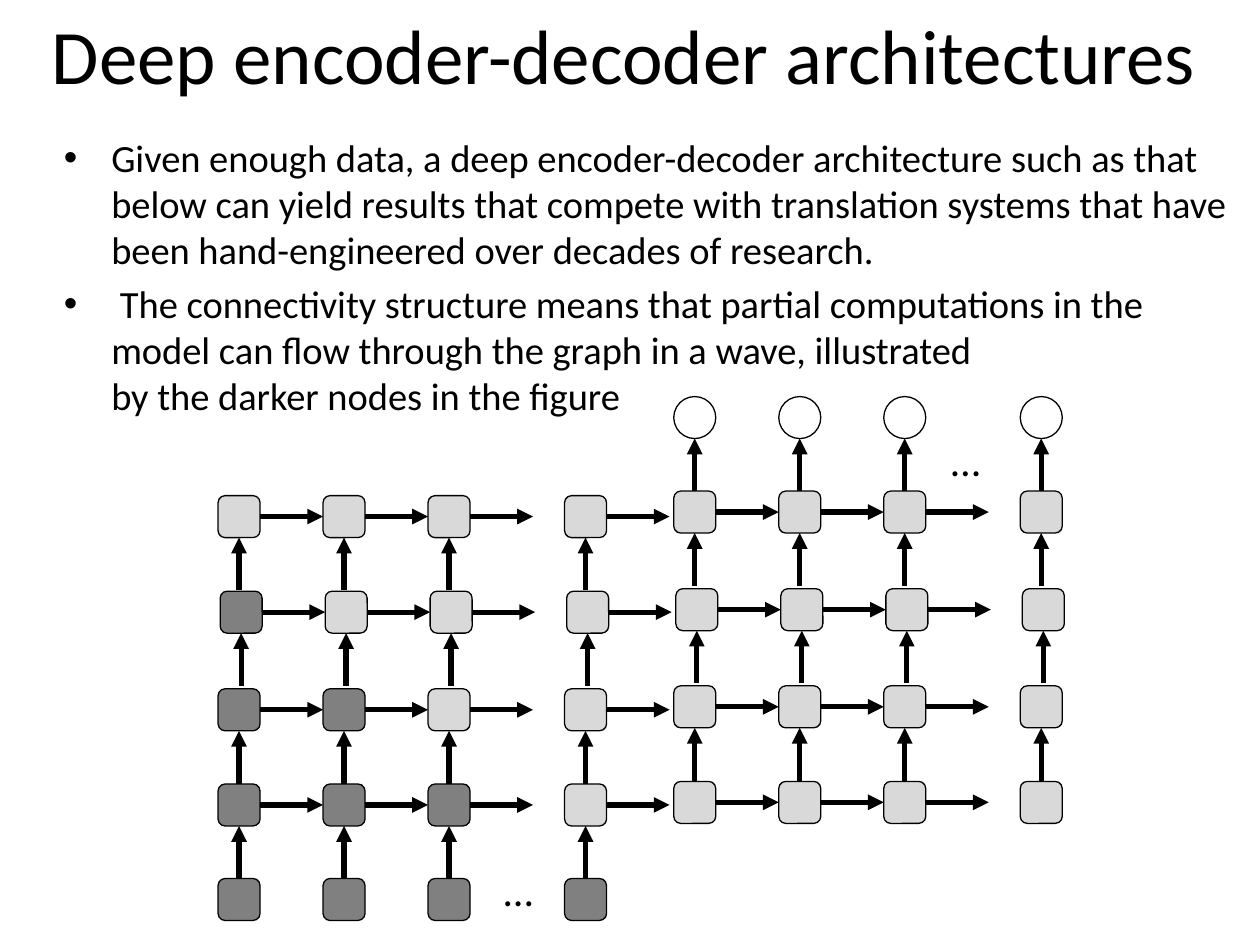
from lxml import etree
from pptx import Presentation
from pptx.dml.color import RGBColor
from pptx.enum.shapes import MSO_CONNECTOR, MSO_SHAPE
from pptx.enum.text import PP_ALIGN
from pptx.oxml.ns import qn
from pptx.util import Pt

BLACK = RGBColor(0x00, 0x00, 0x00)
WHITE = RGBColor(0xFF, 0xFF, 0xFF)
DARK = RGBColor(0x80, 0x80, 0x80)
LIGHT = RGBColor(0xD9, 0xD9, 0xD9)
BOX = MSO_SHAPE.ROUNDED_RECTANGLE
RING = MSO_SHAPE.OVAL
LINE = MSO_CONNECTOR.STRAIGHT
LEFT, MID = PP_ALIGN.LEFT, PP_ALIGN.CENTER
TOP, WEST, BASE, EAST = range(4)

SIZE = 24                    # side of a node
COLS = (0, 60, 120, 198)     # column offsets; the last follows a gap
REACH = 36                   # length of a level arrow
RISE = 30                    # length of an upright arrow


class Deck:
    font = "Calibri"

    def __init__(self, slide):
        self.slide = slide

    def node(self, x, y, fill, kind=BOX):
        shape = self.slide.shapes.add_shape(kind, Pt(x), Pt(y), Pt(SIZE), Pt(SIZE))
        shape.shadow.inherit = False
        shape.fill.solid()
        shape.fill.fore_color.rgb = fill
        shape.line.color.rgb = BLACK
        shape.line.width = Pt(0.75)
        return shape

    def arrow(self, x1, y1, x2, y2, end, start=None, stop=None):
        """Draw an arrow; end is headEnd or tailEnd, start and stop are joints."""
        line = self.slide.shapes.add_connector(LINE, Pt(x1), Pt(y1), Pt(x2), Pt(y2))
        if start:
            line.begin_connect(*start)
        if stop:
            line.end_connect(*stop)
        line.line.color.rgb = BLACK
        line.line.width = Pt(3)
        etree.SubElement(line.line._get_or_add_ln(), qn("a:" + end), type="triangle")
        etree.SubElement(line._element.spPr, qn("a:effectLst"))

    def text(self, x, y, w, h, paras, size, align=LEFT, space=0, bullet=False):
        box = self.slide.shapes.add_textbox(Pt(x), Pt(y), Pt(w), Pt(h))
        frame = box.text_frame
        frame.word_wrap = True
        for i, lines in enumerate(paras):
            para = frame.add_paragraph() if i else frame.paragraphs[0]
            para.alignment = align
            para.space_before = Pt(space)
            if bullet:
                props = para._p.get_or_add_pPr()
                props.set("marL", str(Pt(27)))
                props.set("indent", str(-Pt(27)))
                etree.SubElement(props, qn("a:buFont"), typeface="Arial")
                etree.SubElement(props, qn("a:buChar"), char="•")
            for j, words in enumerate(lines):
                if j:
                    para.add_line_break()
                run = para.add_run()
                run.text = words
                run.font.name = self.font
                run.font.size = Pt(size)
                run.font.color.rgb = BLACK

    def grid(self, left, rows, level, bridge=False):
        """Rows are (shift, top, dark count, shape kind); level rows get side arrows."""
        nodes = [[self.node(left + shift + dx, top,
                            WHITE if kind == RING else DARK if i < dark else LIGHT, kind)
                  for i, dx in enumerate(COLS)]
                 for shift, top, dark, kind in rows]

        # Level arrows: between neighbours, into the gap and out of the grid
        for r in level:
            shift, top, _, _ = rows[r]
            y = top + SIZE / 2
            for i in range(4 if bridge else 3):
                x = left + shift + COLS[i] + SIZE
                stop = (nodes[r][i + 1], WEST) if i < 2 else None
                self.arrow(x, y, x + REACH, y, "tailEnd", (nodes[r][i], EAST), stop)

        # Upright arrows: joined below only where the rows line up
        for r in range(len(rows) - 1):
            shift, top, _, kind = rows[r]
            y = top + SIZE
            flush = shift == rows[r + 1][0] and abs(rows[r + 1][1] - y - RISE) < 1
            for i, dx in enumerate(COLS):
                x = left + shift + dx + SIZE / 2
                start = (nodes[r][i], BASE) if kind == BOX else None
                stop = (nodes[r + 1][i], TOP) if flush else None
                self.arrow(x, y, x, y + RISE, "headEnd", start, stop)


def main():
    prs = Presentation()
    prs.slide_width, prs.slide_height = Pt(720), Pt(540)
    deck = Deck(prs.slides.add_slide(prs.slide_layouts[6]))

    # Encoder, with the wave of dark nodes
    deck.grid(124.6, [(0, 283.2, 0, BOX), (1.2, 337.8, 1, BOX), (0, 393.6, 2, BOX),
                      (0, 448, 3, BOX), (0, 502, 4, BOX)], range(4), bridge=True)

    # Decoder, with the outputs on top
    deck.grid(385, [(0, 226.6, 0, RING), (0, 280.6, 0, BOX), (1.2, 336.4, 0, BOX),
                    (0, 391.9, 0, BOX), (0, 446.5, 0, BOX)], range(1, 5))

    # Gap marks
    for x, y in ((280.8, 490.3), (536.4, 244.8)):
        deck.text(x, y, 36, 36, [["…"]], 24, space=12)

    # Title and body
    deck.text(0, 1, 713.5, 90, [["Deep encoder-decoder architectures"]], 44, MID)
    deck.text(29.5, 73, 684, 276.5, [
        ["Given enough data, a deep encoder-decoder architecture such as that below "
         "can yield results that compete with translation systems that have been "
         "hand-engineered over decades of research."],
        [" The connectivity structure means that partial computations in the model "
         "can flow through the graph in a wave, illustrated ",
         "by the darker nodes in the figure"],
    ], 22, space=4.4, bullet=True)

    prs.save("out.pptx")


if __name__ == "__main__":
    main()
